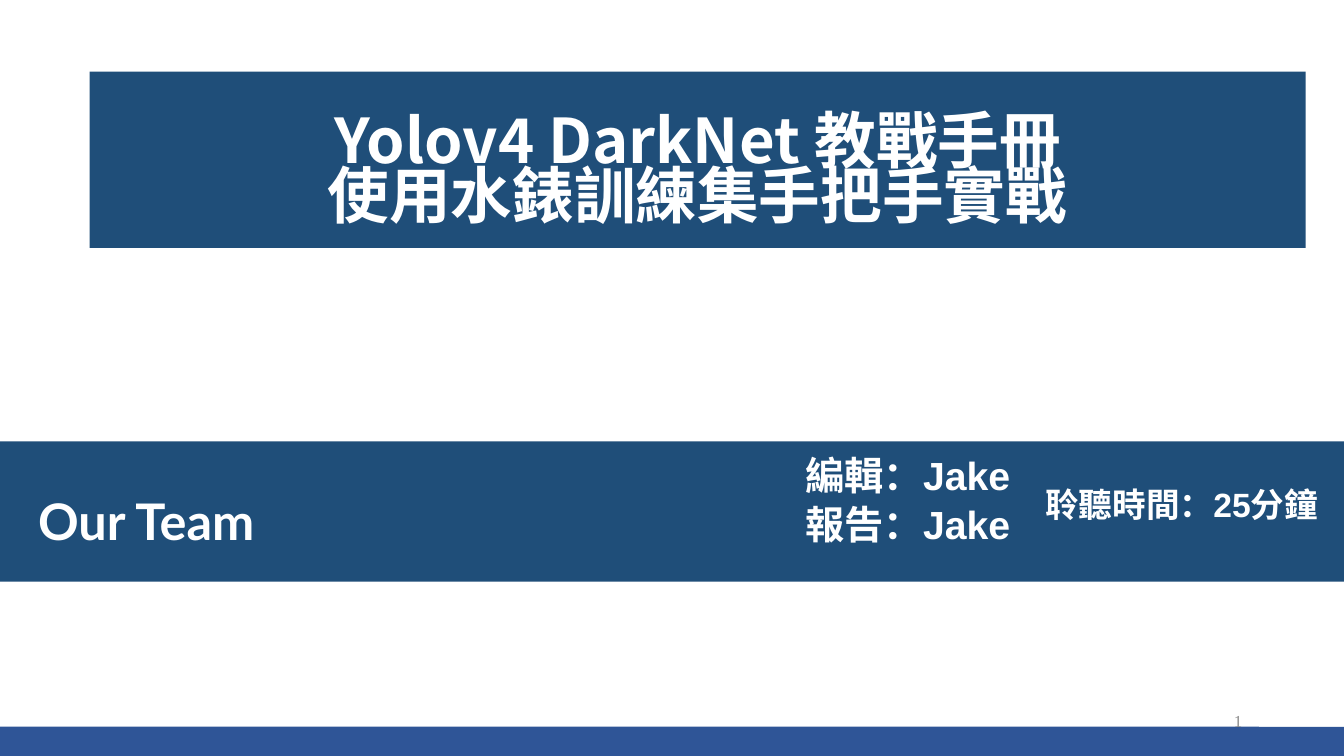
from lxml import etree
from pptx import Presentation
from pptx.dml.color import RGBColor
from pptx.enum import shapes, text
from pptx.oxml import ns
from pptx.util import Inches, Pt

W, H = 13.33, 7.5
WHITE, NAVY, BLUE, GREY = "FFFFFF", "1F4E79", "2F5597", "8C8C8C"
ALIGN, ANCHOR = text.PP_ALIGN, text.MSO_ANCHOR
RECT, ROUND = shapes.MSO_SHAPE.RECTANGLE, shapes.MSO_SHAPE.ROUNDED_RECTANGLE

# Content: bands as (shape, box, fill)
BANDS = [
    (RECT, (0.89, 0.71, 12.06, 1.75), NAVY),
    (ROUND, (-0.06, 7.21, W + 0.12, 0.29), BLUE),
    (RECT, (0, 4.38, W, 1.39), NAVY),
]
TITLE = ["Yolov4 DarkNet 教戰手冊\v使用水錶訓練集手把手實戰"]
CREDITS = ["編輯：Jake", "報告：Jake"]
DURATION = ["聆聽時間：25分鐘"]
TEAM = ["Our Team"]
PAGE = ["1"]


def rgb(value):
    return RGBColor.from_string(value)


def place(sp, box):
    sp.left, sp.top, sp.width, sp.height = map(Inches, box)


def write(sp, lines, font, size, color=WHITE, bold=True, align=ALIGN.LEFT,
          anchor=ANCHOR.TOP, spacing=1.0, gap=0, wrap=True):
    tf = sp.text_frame
    tf.word_wrap = wrap
    tf.auto_size = text.MSO_AUTO_SIZE.NONE
    tf.vertical_anchor = anchor
    for i, line in enumerate(lines):
        p = tf.paragraphs[0] if i == 0 else tf.add_paragraph()
        p.text = line
        p.alignment, p.line_spacing = align, spacing
        p.space_before = Pt(gap if i else 0)
        f = p.font
        f.name, f.size, f.bold = font, Pt(size), bold
        f.color.rgb = rgb(color)
        # East Asian characters share one typeface
        latin = p._p.pPr.find(".//" + ns.qn("a:latin"))
        ea = etree.Element(ns.qn("a:ea"), typeface="Noto Sans CJK SC")
        latin.addnext(ea)


prs = Presentation()
prs.slide_width, prs.slide_height = Inches(W), Inches(H)
s = prs.slides.add_slide(prs.slide_layouts[0])
s.background.fill.solid()
s.background.fill.fore_color.rgb = rgb(WHITE)

# Bands, kept behind the placeholders
for i, (kind, box, color) in enumerate(BANDS):
    sp = s.shapes.add_shape(kind, *map(Inches, box))
    sp.shadow.inherit = False
    sp.fill.solid()
    sp.fill.fore_color.rgb = rgb(color)
    sp.line.fill.background()
    s.shapes._spTree.insert(2 + i, sp._element)

# Title and credits
title, credits = s.shapes.title, s.placeholders[1]
place(title, (0.89, 0.3, 12.06, 2.03))
write(title, TITLE, "Noto Sans CJK SC", 44, align=ALIGN.CENTER,
      anchor=ANCHOR.BOTTOM, spacing=0.75)
place(credits, (7.89, 4.52, 2.61, 1.14))
write(credits, CREDITS, "Arial", 28, spacing=0.8, gap=8)

# Team, duration and page number
team = s.shapes.add_textbox(*map(Inches, (0.28, 4.81, 2.44, 0.71)))
write(team, TEAM, "Lato", 36, wrap=False)
duration = s.shapes.add_textbox(*map(Inches, (10.27, 4.83, 3.47, 1.14)))
write(duration, DURATION, "Arial", 24, spacing=0.8)
page = s.shapes.add_textbox(*map(Inches, (9.42, 6.95, 3, 0.4)))
write(page, PAGE, "Times New Roman", 12, GREY, bold=False,
      align=ALIGN.RIGHT, anchor=ANCHOR.MIDDLE)

prs.save("out.pptx")
